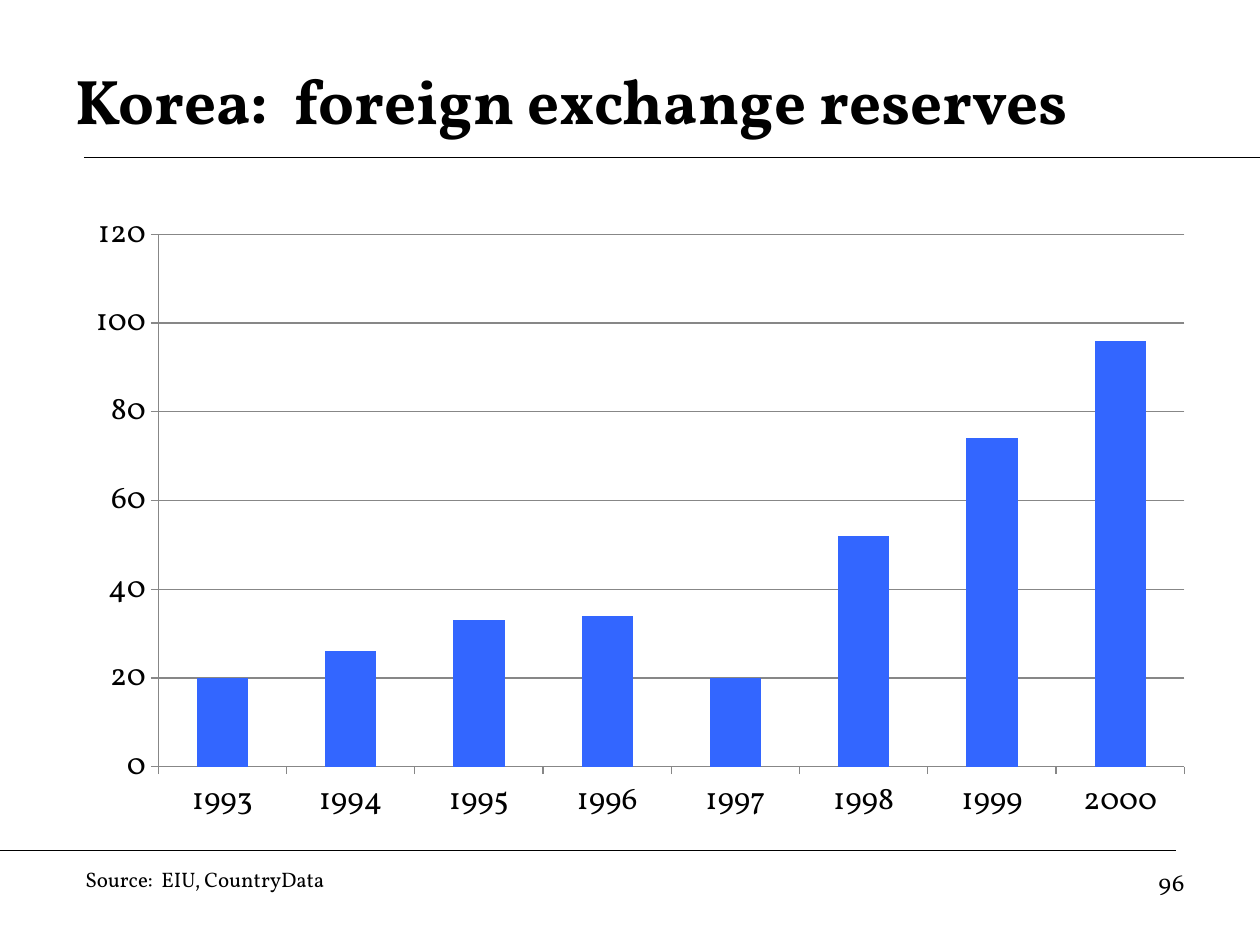
from lxml import etree
from pptx import Presentation
from pptx import util as u
from pptx.chart.data import CategoryChartData
from pptx.dml.color import RGBColor
from pptx.enum import chart as ch, shapes, text
from pptx.oxml.ns import qn

FONT, BLACK, GREY, BLUE = "Vollkorn", "000000", "878787", "3366FF"
W, H = 10, 7.5

# words, box (left, top, width, height), size, bold, alignment, anchor
LEFT, RIGHT = text.PP_ALIGN.LEFT, text.PP_ALIGN.RIGHT
TOP, MIDDLE = text.MSO_ANCHOR.TOP, text.MSO_ANCHOR.MIDDLE
TEXTS = [
    ("Korea:  foreign exchange reserves", (0.5, 0.33, 9, 0.92), 36, True, LEFT, MIDDLE),
    ("96", (7.17, 6.83, 2.33, 0.52), 14, False, RIGHT, TOP),
    ("Source:  EIU, CountryData", (0.58, 6.83, 4.83, 0.3), 12, False, LEFT, TOP),
]
# left, right and height of each rule, as shares of the slide
RULES = [(1 / 15, 1, 1 / 6), (0, 14 / 15, 0.9)]
RESERVES = {"1993": 20, "1994": 26, "1995": 33, "1996": 34,
            "1997": 20, "1998": 52, "1999": 74, "2000": 96}
CHART_BOX = (0.58, 1.58, 9, 5.06)


def rgb(color):
    return RGBColor.from_string(color)


def inches(lengths):
    return [u.Inches(n) for n in lengths]


def set_font(font, size, bold=False):
    font.name, font.size, font.bold = FONT, u.Pt(size), bold
    font.color.rgb = rgb(BLACK)


def set_line(line, color):
    line.color.rgb, line.width = rgb(color), u.Pt(0.75)


def add_rule(s, left, right, y):
    ends = inches((left * W, y * H, right * W, y * H))
    rule = s.shapes.add_connector(shapes.MSO_CONNECTOR.STRAIGHT, *ends)
    set_line(rule.line, BLACK)
    etree.SubElement(rule._element.spPr, qn("a:effectLst"))


def add_text(s, words, box, size, bold, align, anchor):
    tf = s.shapes.add_textbox(*inches(box)).text_frame
    tf.word_wrap, tf.vertical_anchor = True, anchor
    p = tf.paragraphs[0]
    p.text, p.alignment = words, align
    set_font(p.font, size, bold)


def add_reserves_chart(s):
    data = CategoryChartData()
    data.categories = list(RESERVES)
    data.add_series("Series 1", list(RESERVES.values()))
    chart = s.shapes.add_chart(ch.XL_CHART_TYPE.COLUMN_CLUSTERED,
                               *inches(CHART_BOX), data).chart
    chart.has_legend = chart.has_title = False
    set_font(chart.font, 18)

    plot = chart.plots[0]
    plot.gap_width, plot.vary_by_categories = 150, False
    fill = plot.series[0].format.fill
    fill.solid()
    fill.fore_color.rgb = rgb(BLUE)

    for axis in (chart.category_axis, chart.value_axis):
        axis.major_tick_mark = ch.XL_TICK_MARK.OUTSIDE
        set_line(axis.format.line, GREY)
    values = chart.value_axis
    values.minimum_scale, values.maximum_scale, values.major_unit = 0, 120, 20
    values.has_major_gridlines = True
    set_line(values.major_gridlines.format.line, GREY)


prs = Presentation()
prs.slide_width, prs.slide_height = inches((W, H))
s = prs.slides.add_slide(prs.slide_layouts[6])
for rule in RULES:
    add_rule(s, *rule)
for item in TEXTS:
    add_text(s, *item)
add_reserves_chart(s)
prs.save("out.pptx")
